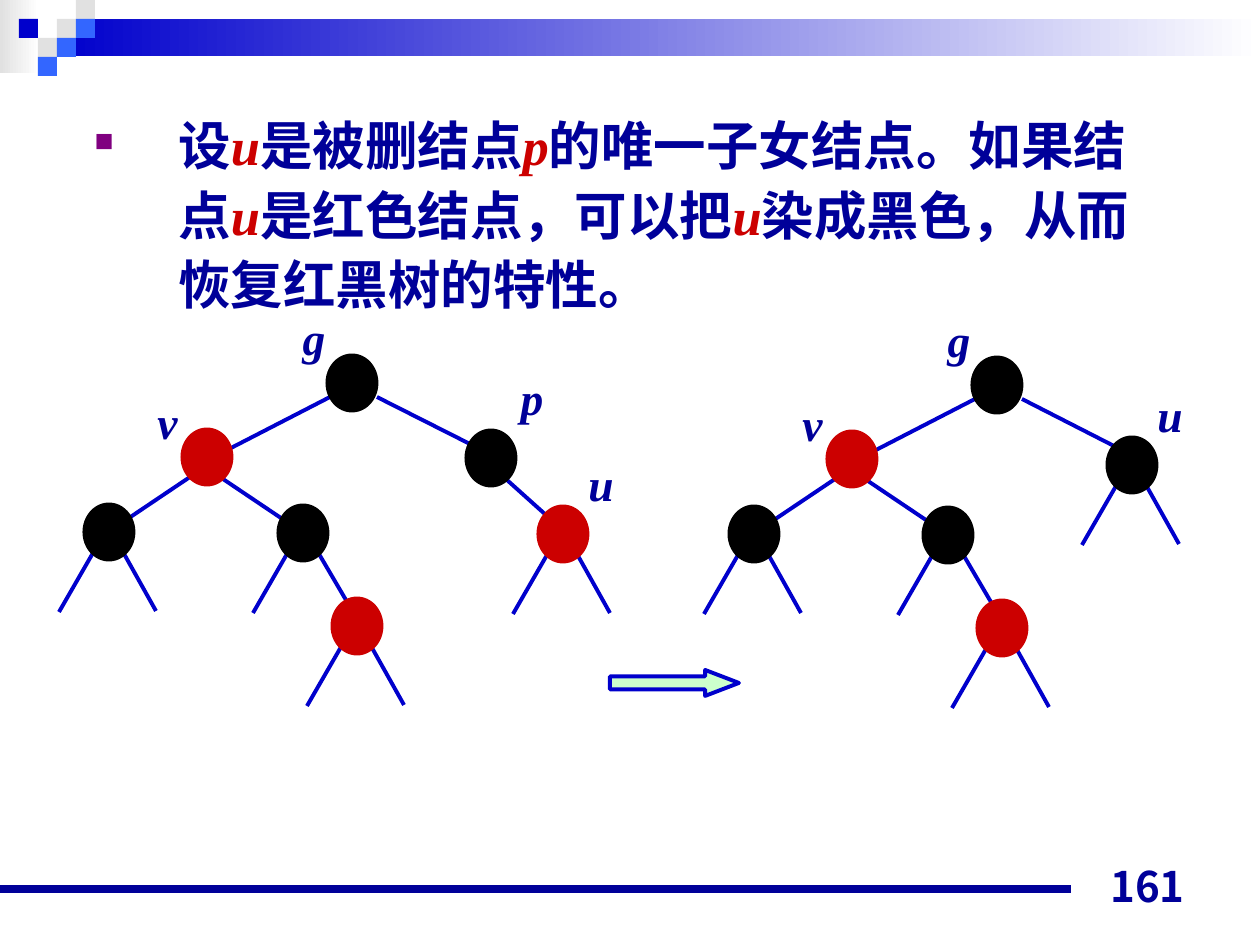
from lxml import etree
from pptx import Presentation
from pptx.dml.color import RGBColor
from pptx.enum.shapes import MSO_CONNECTOR, MSO_SHAPE
from pptx.enum.text import MSO_ANCHOR, PP_ALIGN
from pptx.oxml.ns import qn
from pptx.util import Emu, Pt

RECT, OVAL, ARROW = MSO_SHAPE.RECTANGLE, MSO_SHAPE.OVAL, MSO_SHAPE.RIGHT_ARROW
STRAIGHT = MSO_CONNECTOR.STRAIGHT
LEFT, CENTER, RIGHT = PP_ALIGN.LEFT, PP_ALIGN.CENTER, PP_ALIGN.RIGHT
TOP, BOTTOM = MSO_ANCHOR.TOP, MSO_ANCHOR.BOTTOM

SCALE = 914400 / 126
NAVY, BLUE, SKY, GREY = "000099", "0000CC", "3366FF", "E1E1E1"
RED, BLACK, WHITE, MINT, PURPLE = "CC0000", "000000", "FFFFFF", "CCFFCC", "800080"
LATIN, CJK = "Times New Roman", "Noto Sans CJK JP"

# Plain text and red italic node names alternate.
STATEMENT = ["设", "u", "是被删结点", "p", "的唯一子女结点。如果结点", "u",
             "是红色结点，可以把", "u", "染成黑色，从而恢复红黑树的特性。"]
PAGE_NUMBER = "161"

BANDS = [((0, 0, 39, 73), GREY), ((57, 19, 1203, 37), BLUE)]
SQUARE = 19
SQUARES = [(3, 1, GREY), (4, 0, GREY), (4, 1, SKY), (2, 2, GREY),
           (1, 1, BLUE), (3, 2, SKY), (2, 3, SKY)]

NODE_W, NODE_H = 49, 55
# Node: centre and colour.
SHARED_NODES = {"g": (352, 383, BLACK), "v": (207, 457, RED),
                "v_left": (109, 532, BLACK), "v_right": (303, 533, BLACK),
                "grandchild": (357, 626, RED)}
# Edge: parent, start from its centre, child, end from its centre.
SHARED_EDGES = [("g", (-22, 14), "v", (24, -9)),
                ("v", (-17, 20), "v_left", (20, -14)),
                ("v", (16, 22), "v_right", (-22, -15)),
                ("v_right", (16, 21), "grandchild", (-4, -14))]
# Open branches: start and end from the node's centre.
STUBS = {"left": ((-16, 21), (-50, 80)), "right": ((14, 20), (47, 79))}
SHARED_STUBS = [("v_left", "left"), ("v_left", "right"), ("v_right", "left"),
                ("grandchild", "left"), ("grandchild", "right"),
                ("u", "left"), ("u", "right")]
# Label: corner from the node's centre, and width.
LABELS = {"g": (-62, -79, 48), "v": (-62, -69, 45),
          "p": (17, -94, 48), "u": (13, -84, 50)}
LABEL_H = 68

TREES = [
    {"shift": (0, 0),
     "nodes": {"p": (491, 458, BLACK), "u": (563, 534, RED)},
     "edges": [("g", (25, 14), "p", (-21, -14)), ("p", (16, 22), "u", (-7, -10))]},
    {"shift": (645, 2),
     "nodes": {"u": (487, 463, BLACK)},
     "edges": [("g", (25, 14), "u", (-18, -19))]},
]


def px(value):
    return Emu(round(value * SCALE))


def color(hex_value):
    return RGBColor.from_string(hex_value)


def plus(point, offset):
    return point[0] + offset[0], point[1] + offset[1]


def add_figure(slide, kind, box, fill, line=None):
    figure = slide.shapes.add_shape(kind, *map(px, box))
    figure.shadow.inherit = False
    figure.fill.solid()
    figure.fill.fore_color.rgb = color(fill)
    if line:
        figure.line.color.rgb = color(line)
        figure.line.width = Pt(2.25)
    else:
        figure.line.fill.background()
    return figure


def add_band(slide, box, end_color):
    """Add a bar that fades to white on its right."""
    fill = add_figure(slide, RECT, box, end_color).fill
    fill.gradient()
    fill.gradient_angle = 180
    for stop, shade in zip(fill.gradient_stops, (WHITE, end_color)):
        stop.color.rgb = color(shade)


def add_line(slide, start, end, shade=BLUE, width=2.25):
    line = slide.shapes.add_connector(STRAIGHT, *map(px, (*start, *end)))
    line.line.color.rgb = color(shade)
    line.line.width = Pt(width)
    etree.SubElement(line._element.spPr, qn("a:effectLst"))


def add_text(slide, box, runs, size, font=LATIN, align=LEFT, anchor=TOP, wrap=True):
    """Add one paragraph; each run is (text, colour, italic)."""
    frame = slide.shapes.add_textbox(*map(px, box)).text_frame
    frame.word_wrap = wrap
    frame.vertical_anchor = anchor
    paragraph = frame.paragraphs[0]
    paragraph.alignment = align
    for text, shade, italic in runs:
        run = paragraph.add_run()
        run.text = text
        run.font.size = Pt(size)
        run.font.name = font
        run.font.bold = True
        run.font.italic = italic
        run.font.color.rgb = color(shade)
        etree.SubElement(run._r.get_or_add_rPr(), qn("a:ea"), typeface=CJK)
    return paragraph


def add_bullet(paragraph, indent):
    properties = paragraph._p.get_or_add_pPr()
    properties.set("marL", str(px(indent)))
    properties.set("indent", str(px(-indent)))
    bullet_color = etree.SubElement(properties, qn("a:buClr"))
    etree.SubElement(bullet_color, qn("a:srgbClr"), val=PURPLE)
    etree.SubElement(properties, qn("a:buSzPct"), val="50000")
    etree.SubElement(properties, qn("a:buChar"), char="■")


def add_tree(slide, tree):
    nodes = {name: (plus((x, y), tree["shift"]), shade)
             for name, (x, y, shade) in {**SHARED_NODES, **tree["nodes"]}.items()}
    for parent, start, child, end in SHARED_EDGES + tree["edges"]:
        add_line(slide, plus(nodes[parent][0], start), plus(nodes[child][0], end))
    for name, side in SHARED_STUBS:
        add_line(slide, *(plus(nodes[name][0], offset) for offset in STUBS[side]))
    for name, (center, shade) in nodes.items():
        corner = plus(center, (-NODE_W / 2, -NODE_H / 2))
        add_figure(slide, OVAL, (*corner, NODE_W, NODE_H), shade, shade)
        if name in LABELS:
            dx, dy, width = LABELS[name]
            add_text(slide, (*plus(center, (dx, dy)), width, LABEL_H),
                     [(name, NAVY, True)], 26, align=CENTER, wrap=False)


def main():
    deck = Presentation()
    deck.slide_width, deck.slide_height = px(1260), px(945)
    slide = deck.slides.add_slide(deck.slide_layouts[6])

    for box, shade in BANDS:
        add_band(slide, box, shade)
    for column, row, shade in SQUARES:
        add_figure(slide, RECT, (column * SQUARE, row * SQUARE, SQUARE, SQUARE), shade)
    add_line(slide, (0, 889), (1071, 889), NAVY, 4.5)

    runs = [(text, RED if i % 2 else NAVY, bool(i % 2))
            for i, text in enumerate(STATEMENT)]
    statement = add_text(slide, (82, 101, 1080, 774), runs, 30)
    statement.line_spacing = 1.1
    add_bullet(statement, 84)

    for tree in TREES:
        add_tree(slide, tree)

    arrow = add_figure(slide, ARROW, (610, 670, 129, 26), MINT, BLUE)
    arrow.adjustments[0], arrow.adjustments[1] = 0.5, 1.3
    add_text(slide, (903, 854, 294, 63), [(PAGE_NUMBER, NAVY, False)], 24,
             font=CJK, align=RIGHT, anchor=BOTTOM)
    deck.save("out.pptx")


if __name__ == "__main__":
    main()
